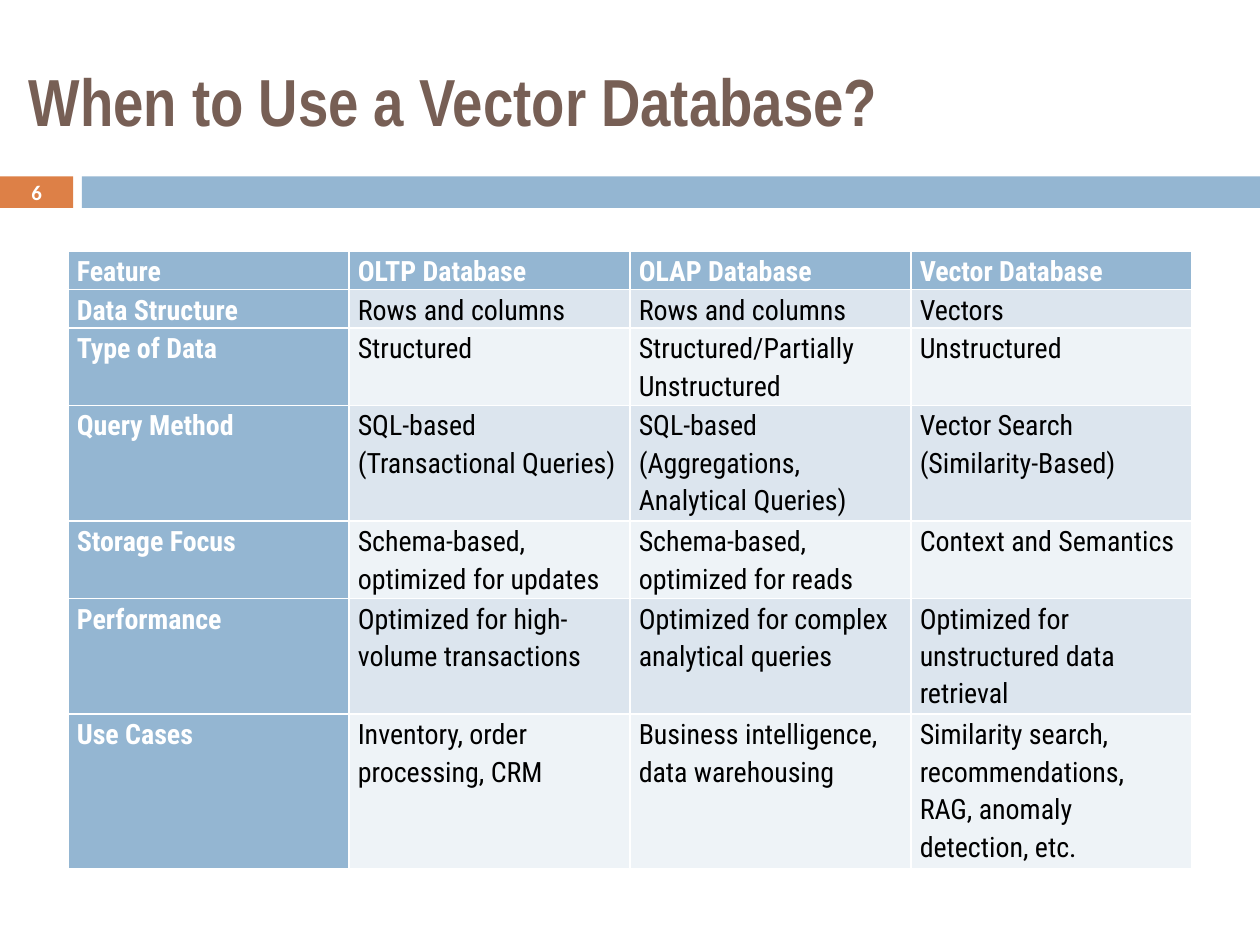
"""Build the slide comparing OLTP, OLAP and vector databases."""
from pptx import Presentation
from pptx.dml.color import RGBColor
from pptx.enum.shapes import MSO_SHAPE as SHAPE
from pptx.enum.text import MSO_ANCHOR as ANCHOR, PP_ALIGN as ALIGN
from pptx.util import Inches, Pt


def color(value):
    return RGBColor.from_string(value)


def write(p, text, fmt, rgb):
    r = p.add_run()
    r.text = text
    for key, value in fmt.items():
        setattr(r.font, key, value)
    r.font.color.rgb = color(rgb)


BLUE, ORANGE, BROWN, WHITE, BLACK = "94B6D2", "DD8047", "775F55", "FFFFFF", "000000"
BANDS = ["EEF3F7", "DCE5EE"]

prs = Presentation()
prs.slide_width, prs.slide_height = Inches(10), Inches(7.5)
s = prs.slides.add_slide(prs.slide_layouts[6])

for left, width, fill in [(0, 0.58, ORANGE), (0.65, 9.35, BLUE)]:
    sp = s.shapes.add_shape(SHAPE.RECTANGLE, Inches(left), Inches(1.4), Inches(width), Inches(0.25))
    sp.shadow.inherit = False
    sp.fill.solid()
    sp.fill.fore_color.rgb = color(fill)
    sp.line.fill.background()

texts = [
    ("When to Use a Vector Database?", (0.13, 0.25, 9.78, 1.08), ALIGN.LEFT,
     {"size": Pt(38), "name": "Arial Narrow", "bold": True}, BROWN),
    ("6", (0, 1.39, 0.58, 0.27), ALIGN.CENTER,
     {"size": Pt(11.9), "name": "Calibri", "bold": True}, WHITE),
]
for text, box, align, fmt, rgb in texts:
    tf = s.shapes.add_textbox(*map(Inches, box)).text_frame
    tf.word_wrap = True
    tf.vertical_anchor = ANCHOR.MIDDLE
    p = tf.paragraphs[0]
    p.alignment = align
    write(p, text, fmt, rgb)

rows = [
    (1, ["Feature", "OLTP Database", "OLAP Database", "Vector Database"]),
    (1, ["Data Structure", "Rows and columns", "Rows and columns", "Vectors"]),
    (2, ["Type of Data", "Structured", "Structured/Partially Unstructured", "Unstructured"]),
    (3, ["Query Method", "SQL-based (Transactional Queries)",
         "SQL-based (Aggregations, Analytical Queries)", "Vector Search (Similarity-Based)"]),
    (2, ["Storage Focus", "Schema-based, optimized for updates",
         "Schema-based, optimized for reads", "Context and Semantics"]),
    (3, ["Performance", "Optimized for high-volume transactions",
         "Optimized for complex analytical queries", "Optimized for unstructured data retrieval"]),
    (4, ["Use Cases", "Inventory, order processing, CRM", "Business intelligence, data warehousing",
         "Similarity search, recommendations, RAG, anomaly detection, etc."]),
]
cell_format = {"margin_left": Inches(0.07), "margin_right": Inches(0.07),
               "margin_top": 0, "margin_bottom": 0}
para_format = {"line_spacing": 1.15, "space_after": Pt(8)}

table = s.shapes.add_table(len(rows), 4, Inches(0.54), Inches(1.99), Inches(8.92), Inches(4.64)).table
for i, (lines, values) in enumerate(rows):
    table.rows[i].height = Inches(0.29 * lines)
    for j, text in enumerate(values):
        cell = table.cell(i, j)
        p = cell.text_frame.paragraphs[0]
        for target, fmt in [(cell, cell_format), (p, para_format)]:
            for key, value in fmt.items():
                setattr(target, key, value)
        head = i == 0 or j == 0
        cell.fill.solid()
        cell.fill.fore_color.rgb = color(BLUE if head else BANDS[i % 2])
        write(p, text, {"size": Pt(16), "name": "Roboto Condensed", "bold": head},
              WHITE if head else BLACK)

prs.save("out.pptx")
